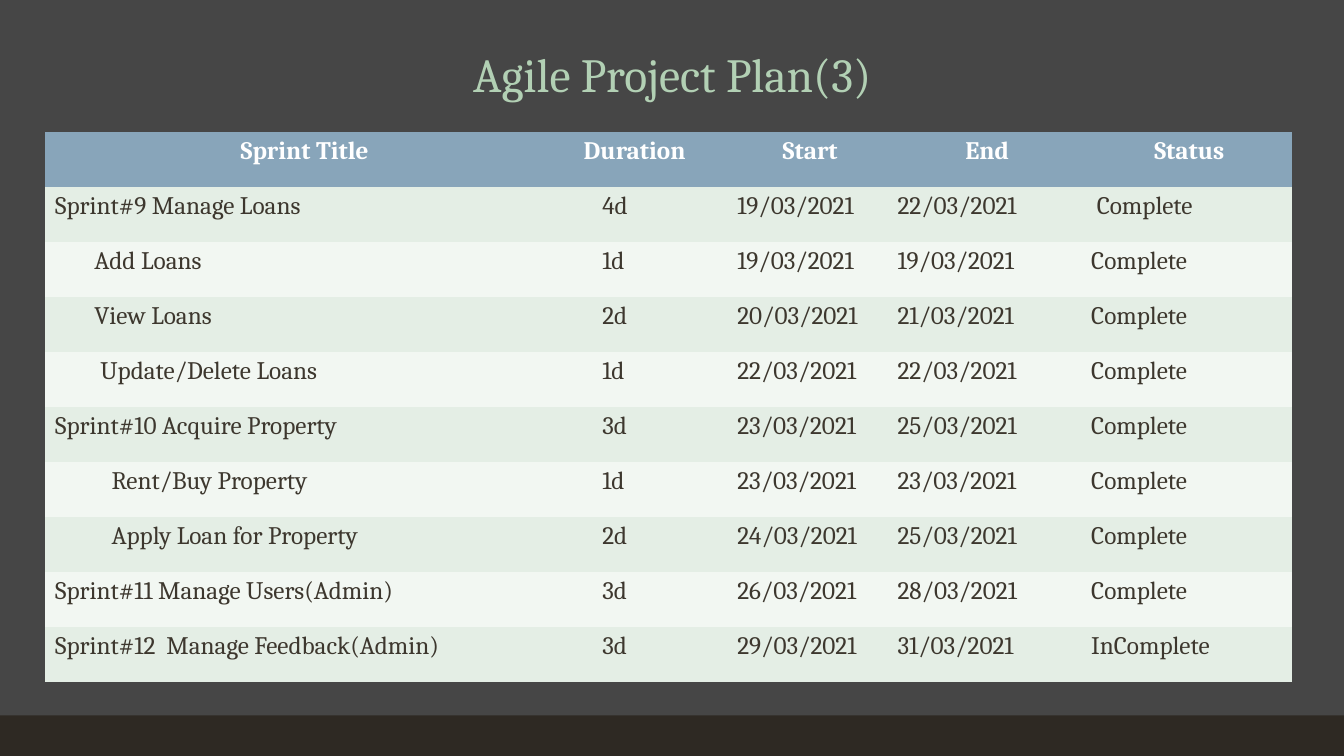
"""Build the sprint plan slide with its title, table and footer band."""
from dataclasses import dataclass

from pptx import Presentation
from pptx.dml.color import RGBColor as Rgb
from pptx.dml.fill import FillFormat as Fill
from pptx.enum.shapes import MSO_SHAPE as Shape
from pptx.enum.text import PP_ALIGN as Align
from pptx.oxml.ns import qn
from pptx.slide import Slide
from pptx.table import _Cell as Cell
from pptx.text.text import TextFrame as Frame
from pptx.util import Cm, Pt

WIDTH, HEIGHT = 33.87, 19.05
BAND = 1.02
INSET = 0.25
PLAIN = "{2D5ABB26-0587-4C30-8999-92F81FD0307C}"
STRIPES = ("E4EEE5", "F2F7F2")
TITLE = {"name": "Cambria", "size": Pt(34), "bold": False}
HEAD = {"name": "Cambria", "size": Pt(18), "bold": True}
BODY = {**HEAD, "bold": False}


@dataclass
class Column:
    name: str
    width: float
    shift: float = 0
    indent: float = 0


@dataclass
class Sprint:
    name: str
    days: str
    start: str
    end: str
    status: str = "Complete"
    indent: float = 0
    nudge: float = 0


COLUMNS = [
    Column("Sprint Title", 12.52, shift=0.56),
    Column("Duration", 4.67, indent=1.27),
    Column("Start", 4.04, shift=0.14),
    Column("End", 4.88, shift=0.14),
    Column("Status", 5.31, shift=0.14),
]
SPRINTS = [
    Sprint("Sprint#9 Manage Loans", "4d", "19/03/2021", "22/03/2021", nudge=0.14),
    Sprint("Add Loans", "1d", "19/03/2021", "19/03/2021", indent=0.99),
    Sprint("View Loans", "2d", "20/03/2021", "21/03/2021", indent=0.99),
    Sprint("Update/Delete Loans", "1d", "22/03/2021", "22/03/2021", indent=1.14),
    Sprint("Sprint#10 Acquire Property", "3d", "23/03/2021", "25/03/2021"),
    Sprint("Rent/Buy Property", "1d", "23/03/2021", "23/03/2021", indent=1.42),
    Sprint("Apply Loan for Property", "2d", "24/03/2021", "25/03/2021", indent=1.42),
    Sprint("Sprint#11 Manage Users(Admin)", "3d", "26/03/2021", "28/03/2021"),
    Sprint("Sprint#12  Manage Feedback(Admin)", "3d", "29/03/2021", "31/03/2021",
           "InComplete"),
]


def paint(fill: Fill, color: str) -> None:
    """Give a fill one solid colour."""
    fill.solid()
    fill.fore_color.rgb = Rgb.from_string(color)


def write(frame: Frame, text: str, style: dict, color: str, align: Align) -> None:
    """Write one styled paragraph into a frame."""
    para = frame.paragraphs[0]
    para.alignment = align
    run = para.add_run()
    run.text = text
    for key, value in style.items():
        setattr(run.font, key, value)
    run.font.color.rgb = Rgb.from_string(color)


def set_cell(cell: Cell, text: str, style: dict, color: str, fill: str,
             align: Align, indent: float) -> None:
    """Fill a table cell and write its text."""
    paint(cell.fill, fill)
    cell.margin_left = Cm(INSET + indent)
    write(cell.text_frame, text, style, color, align)


def add_band(slide: Slide) -> None:
    """Draw the dark band along the foot of the slide."""
    band = slide.shapes.add_shape(
        Shape.RECTANGLE, 0, Cm(HEIGHT - BAND), Cm(WIDTH), Cm(BAND))
    band.shadow.inherit = False
    paint(band.fill, "2E2923")
    band.line.fill.background()


def add_title(slide: Slide) -> None:
    """Place the slide title."""
    box = slide.shapes.add_textbox(Cm(2.34), Cm(1.02), Cm(29.21), Cm(1.9))
    box.text_frame.word_wrap = True
    write(box.text_frame, "Agile Project Plan(3)", TITLE, "B2D0B4", Align.CENTER)


def add_plan(slide: Slide) -> None:
    """Draw the sprint table."""
    width = sum(col.width for col in COLUMNS)
    frame = slide.shapes.add_table(
        len(SPRINTS) + 1, len(COLUMNS), Cm(1.14), Cm(3.33), Cm(width), Cm(13.86))
    table = frame.table
    table.horz_banding = False
    next(frame._element.iter(qn("a:tableStyleId"))).text = PLAIN
    for i, col in enumerate(COLUMNS):
        table.columns[i].width = Cm(col.width)
        set_cell(table.cell(0, i), col.name, HEAD, "FFFFFF", "88A5BA",
                 Align.CENTER, col.shift)
    for row, item in enumerate(SPRINTS, 1):
        texts = (item.name, item.days, item.start, item.end, item.status)
        shifts = (item.indent, 0, 0, 0, item.nudge)
        for i, (col, text, shift) in enumerate(zip(COLUMNS, texts, shifts)):
            set_cell(table.cell(row, i), text, BODY, "3D372E",
                     STRIPES[(row - 1) % 2], Align.LEFT, col.indent + shift)


def main() -> None:
    """Build and save the slide."""
    deck = Presentation()
    deck.slide_width, deck.slide_height = Cm(WIDTH), Cm(HEIGHT)
    slide = deck.slides.add_slide(deck.slide_layouts[6])
    paint(slide.background.fill, "464646")
    add_band(slide)
    add_title(slide)
    add_plan(slide)
    deck.save("out.pptx")


if __name__ == "__main__":
    main()
